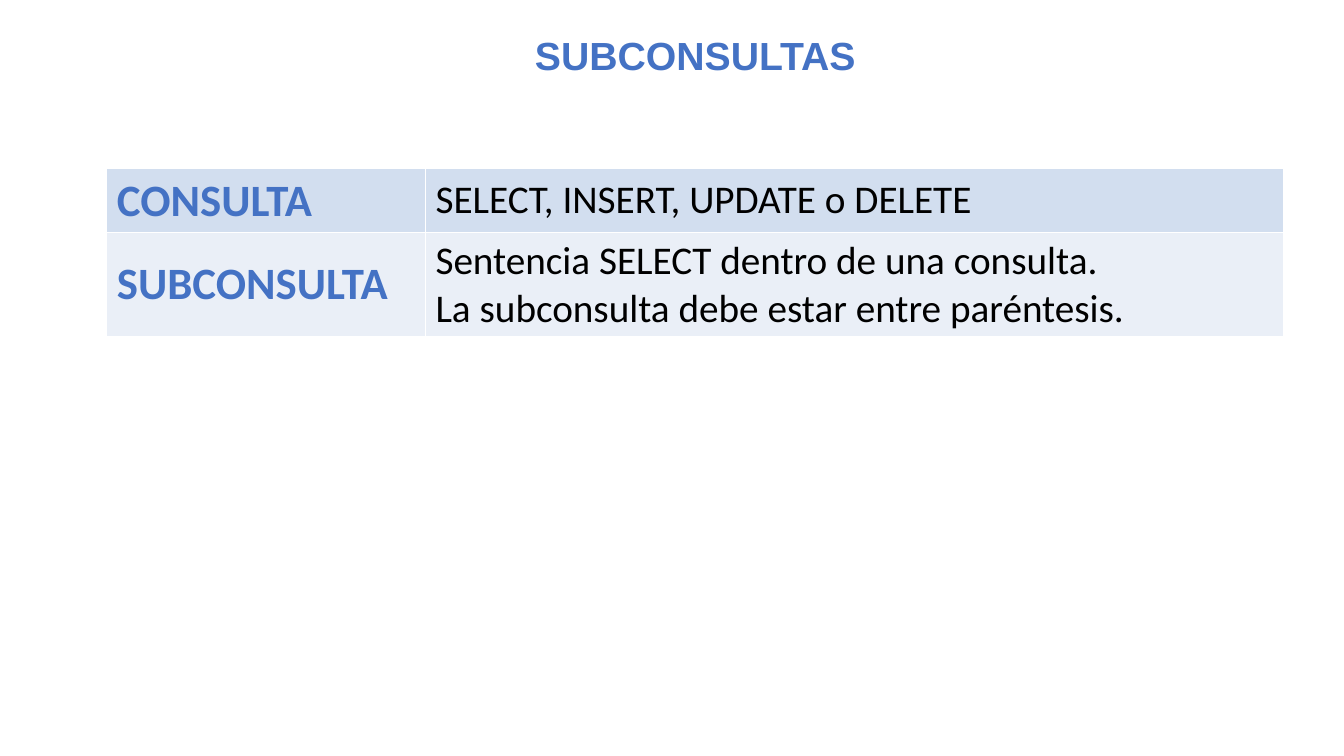
from lxml.etree import SubElement
from pptx import Presentation
from pptx.dml.color import RGBColor
from pptx.enum.text import MSO_ANCHOR, MSO_AUTO_SIZE, PP_ALIGN
from pptx.oxml.ns import qn
from pptx.util import Inches, Pt

BLUE = RGBColor(0x44, 0x72, 0xC4)
BLACK = RGBColor(0x00, 0x00, 0x00)
WHITE = RGBColor(0xFF, 0xFF, 0xFF)
ROW_FILLS = (RGBColor(0xD2, 0xDE, 0xEF), RGBColor(0xEA, 0xEF, 0xF7))

COLUMN_WIDTHS = (3.16, 8.51)
ROW_HEIGHTS = (0.63, 1.04)
DEFINITIONS = (
    ("CONSULTA", "SELECT, INSERT, UPDATE o DELETE"),
    ("SUBCONSULTA", "Sentencia SELECT dentro de una consulta.\n"
                    "La subconsulta debe estar entre paréntesis."),
)


def format_text(frame, font_name, size, color, bold):
    for paragraph in frame.paragraphs:
        for run in paragraph.runs:
            run.font.name = font_name
            run.font.size = Pt(size)
            run.font.bold = bold
            run.font.color.rgb = color


def add_title(slide, text):
    title = slide.shapes.add_textbox(Inches(4.64), Inches(0.26), Inches(4.51), Inches(0.57))
    frame = title.text_frame
    frame.word_wrap = True
    frame.auto_size = MSO_AUTO_SIZE.SHAPE_TO_FIT_TEXT
    frame.text = text
    frame.paragraphs[0].alignment = PP_ALIGN.CENTER
    format_text(frame, "Arial", 28, BLUE, True)


def add_borders(cell):
    """Draw thin white lines on all sides; call before filling the cell."""
    properties = cell._tc.get_or_add_tcPr()
    for side in ("a:lnL", "a:lnR", "a:lnT", "a:lnB"):
        line = SubElement(properties, qn(side), w=str(Pt(1)))
        fill = SubElement(line, qn("a:solidFill"))
        SubElement(fill, qn("a:srgbClr"), val=str(WHITE))


def fill_cell(cell, text, background, size, color, bold):
    add_borders(cell)
    cell.fill.solid()
    cell.fill.fore_color.rgb = background
    cell.vertical_anchor = MSO_ANCHOR.MIDDLE
    cell.text_frame.text = text
    format_text(cell.text_frame, "Calibri", size, color, bold)


def add_definitions(slide):
    table = slide.shapes.add_table(
        len(DEFINITIONS), len(COLUMN_WIDTHS), Inches(1.06), Inches(1.67),
        Inches(sum(COLUMN_WIDTHS)), Inches(sum(ROW_HEIGHTS))).table
    table.first_row = False
    table.horz_banding = False
    for column, width in zip(table.columns, COLUMN_WIDTHS):
        column.width = Inches(width)
    for row, height, background, (term, meaning) in zip(
            table.rows, ROW_HEIGHTS, ROW_FILLS, DEFINITIONS):
        row.height = Inches(height)
        fill_cell(row.cells[0], term, background, 32, BLUE, True)
        fill_cell(row.cells[1], meaning, background, 28, BLACK, False)


def main():
    presentation = Presentation()
    presentation.slide_width = Inches(13.33)
    presentation.slide_height = Inches(7.5)
    slide = presentation.slides.add_slide(presentation.slide_layouts[6])
    add_title(slide, "SUBCONSULTAS")
    add_definitions(slide)
    presentation.save("out.pptx")


if __name__ == "__main__":
    main()
